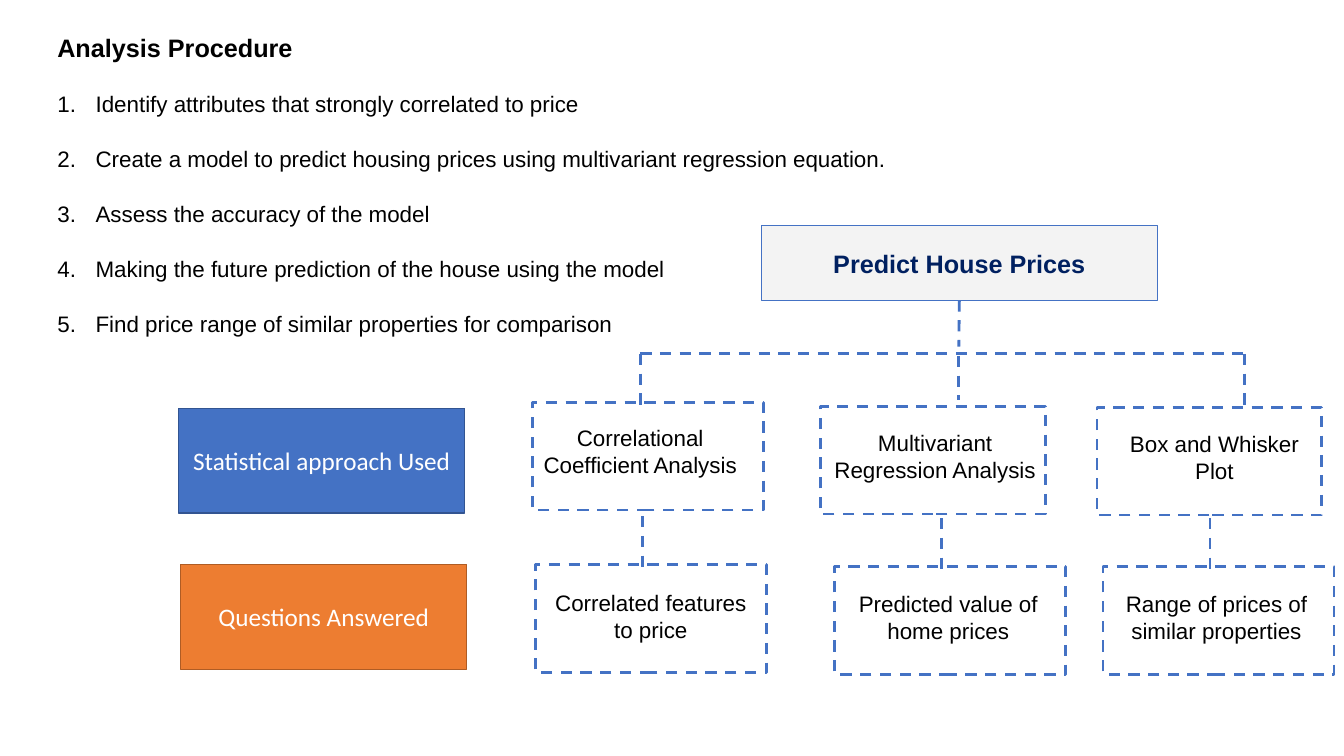
from dataclasses import dataclass

from lxml.etree import SubElement
from pptx import Presentation
from pptx.dml.color import RGBColor
from pptx.enum.dml import MSO_LINE
from pptx.enum.shapes import MSO_CONNECTOR, MSO_SHAPE
from pptx.enum.text import MSO_ANCHOR, PP_ALIGN
from pptx.oxml.ns import qn
from pptx.util import Inches, Pt


@dataclass(frozen=True)
class Theme:
    blue: str = "4472C4"
    blue_edge: str = "325491"
    orange: str = "ED7D31"
    orange_edge: str = "AF5C24"
    pale: str = "F2F2F2"
    navy: str = "002060"
    black: str = "000000"
    white: str = "FFFFFF"
    body_font: str = "Arial"
    label_font: str = "Calibri"
    heading_size: int = 18
    body_size: int = 16
    dash_width: float = 2


THEME = Theme()

STEPS = [
    "Identify attributes that strongly correlated to price",
    "Create a model to predict housing prices using multivariant regression equation.",
    "Assess the accuracy of the model",
    "Making the future prediction of the house using the model",
    "Find price range of similar properties for comparison",
]
# Each node: text, frame box, text box (left, top, width, height)
APPROACHES = [
    ("Correlational Coefficient Analysis", (5.28, 3.99, 2.29, 1.07), (5.1, 4.16, 2.5, 0.64)),
    ("Multivariant Regression Analysis", (8.14, 4.03, 2.23, 1.07), (8.16, 4.21, 2.23, 0.64)),
    ("Box and Whisker Plot", (10.88, 4.04, 2.23, 1.07), (10.93, 4.22, 2.23, 0.64)),
]
ANSWERS = [
    ("Correlated features to price", (5.31, 5.6, 2.29, 1.07), (5.31, 5.8, 2.29, 0.64)),
    ("Predicted value of home prices", (8.28, 5.62, 2.29, 1.07), (8.28, 5.81, 2.25, 0.64)),
    ("Range of prices of similar properties", (10.94, 5.62, 2.29, 1.07), (10.94, 5.81, 2.25, 0.64)),
]


def color(value):
    return RGBColor.from_string(value)


def inches(box):
    return [Inches(length) for length in box]


def write(paragraph, text, size=THEME.body_size, font=THEME.body_font,
          ink=THEME.black, bold=False, align=PP_ALIGN.CENTER):
    paragraph.alignment = align
    run = paragraph.add_run()
    run.text = text
    run.font.size = Pt(size)
    run.font.name = font
    run.font.bold = bold
    run.font.color.rgb = color(ink)


def add_text_box(slide, box):
    frame = slide.shapes.add_textbox(*inches(box)).text_frame
    frame.word_wrap = True
    return frame


def add_rectangle(slide, box, fill=None, line=THEME.blue, width=THEME.dash_width, dashed=False):
    shape = slide.shapes.add_shape(MSO_SHAPE.RECTANGLE, *inches(box))
    shape.shadow.inherit = False
    if fill:
        shape.fill.solid()
        shape.fill.fore_color.rgb = color(fill)
    else:
        shape.fill.background()
    shape.line.color.rgb = color(line)
    shape.line.width = Pt(width)
    if dashed:
        shape.line.dash_style = MSO_LINE.DASH
    shape.text_frame.word_wrap = True
    shape.text_frame.vertical_anchor = MSO_ANCHOR.MIDDLE
    return shape


def add_dashed_line(slide, start, end):
    connector = slide.shapes.add_connector(MSO_CONNECTOR.STRAIGHT, *inches(start + end))
    connector.line.color.rgb = color(THEME.blue)
    connector.line.width = Pt(THEME.dash_width)
    connector.line.dash_style = MSO_LINE.DASH
    SubElement(connector._element.spPr, qn("a:effectLst"))
    return connector


def number_paragraph(paragraph):
    properties = paragraph._p.get_or_add_pPr()
    properties.set("marL", str(Inches(0.38)))
    properties.set("indent", str(-Inches(0.38)))
    bullet_color = SubElement(properties, qn("a:buClr"))
    SubElement(bullet_color, qn("a:srgbClr"), val=THEME.black)
    SubElement(properties, qn("a:buFont"), typeface=THEME.body_font)
    SubElement(properties, qn("a:buAutoNum"), type="arabicPeriod")


def add_procedure(slide, box):
    frame = add_text_box(slide, box)
    write(frame.paragraphs[0], "Analysis Procedure", size=THEME.heading_size,
          bold=True, align=PP_ALIGN.LEFT)
    for step in STEPS:
        paragraph = frame.add_paragraph()
        write(paragraph, step, align=PP_ALIGN.LEFT)
        paragraph.space_before = Pt(20)
        number_paragraph(paragraph)


def add_goal(slide, box):
    goal = add_rectangle(slide, box, fill=THEME.pale, width=0.75)
    fill_color = goal._element.spPr.find(qn("a:solidFill"))[0]
    SubElement(fill_color, qn("a:alpha"), val="85000")
    frame = goal.text_frame
    frame.margin_left = frame.margin_top = frame.margin_right = frame.margin_bottom = 0
    write(frame.paragraphs[0], "Predict House Prices", size=THEME.heading_size,
          ink=THEME.navy, bold=True)
    return goal


def add_branches(slide, goal, box):
    """Join the goal to a horizontal bar, with a drop at each end and one in the middle."""
    left, top, width, height = box
    right, trunk = left + width, 9.51
    add_dashed_line(slide, (left, top), (right, top))
    for end in (left, right):
        add_dashed_line(slide, (end, top), (end, top + height))
    add_dashed_line(slide, (trunk, top + 0.02), (trunk, top + 0.46))
    stem = add_dashed_line(slide, (trunk, top - 0.52), (trunk, top - 0.07))
    stem.begin_connect(goal, 2)


def add_row_label(slide, box, text, fill, line):
    label = add_rectangle(slide, box, fill=fill, line=line, width=1)
    write(label.text_frame.paragraphs[0], text, size=THEME.heading_size,
          font=THEME.label_font, ink=THEME.white)


def add_node(slide, text, frame_box, text_box):
    add_rectangle(slide, frame_box, dashed=True)
    write(add_text_box(slide, text_box).paragraphs[0], text)


def add_answer(slide, text, frame_box, text_box):
    """Add an answer node with the line that comes down into it."""
    add_node(slide, text, frame_box, text_box)
    link, top = frame_box[0] + 1.06, frame_box[1]
    add_dashed_line(slide, (link, top - 0.48), (link, top + 0.08))


def main():
    presentation = Presentation()
    presentation.slide_width = Inches(13.33)
    presentation.slide_height = Inches(7.5)
    slide = presentation.slides.add_slide(presentation.slide_layouts[6])

    add_procedure(slide, (0.47, 0.27, 11.69, 3.37))
    goal = add_goal(slide, (7.55, 2.24, 3.93, 0.74))
    add_branches(slide, goal, (6.35, 3.51, 5.99, 0.56))
    add_row_label(slide, (1.77, 4.05, 2.84, 1.04), "Statistical approach Used",
                  THEME.blue, THEME.blue_edge)
    add_row_label(slide, (1.79, 5.6, 2.84, 1.04), "Questions Answered",
                  THEME.orange, THEME.orange_edge)
    for approach in APPROACHES:
        add_node(slide, *approach)
    for answer in ANSWERS:
        add_answer(slide, *answer)

    presentation.save("out.pptx")


if __name__ == "__main__":
    main()
